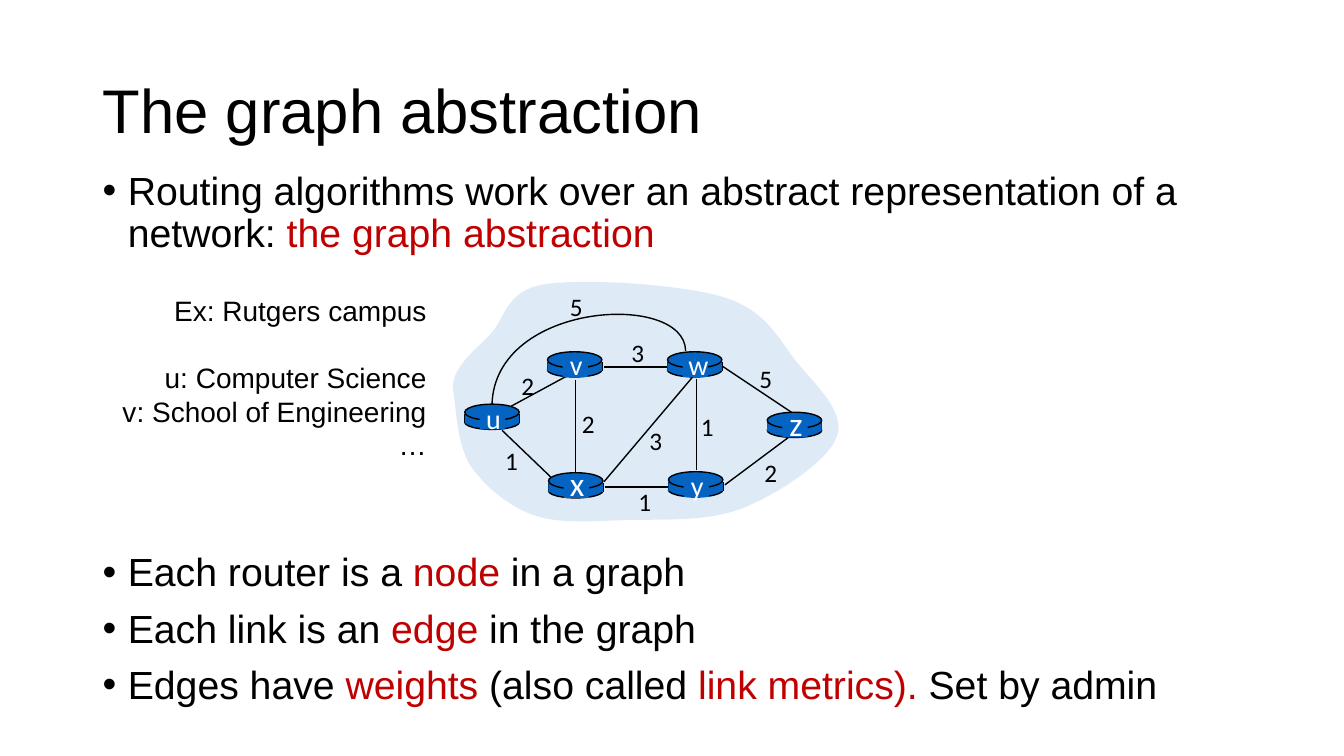
from dataclasses import dataclass

from lxml import etree
from pptx import Presentation
from pptx.dml.color import RGBColor
from pptx.enum.shapes import MSO_CONNECTOR, MSO_SHAPE
from pptx.enum.text import MSO_ANCHOR, PP_ALIGN
from pptx.oxml.ns import qn
from pptx.util import Inches, Pt

LEFT, CENTER, RIGHT = PP_ALIGN.LEFT, PP_ALIGN.CENTER, PP_ALIGN.RIGHT
TOP, MIDDLE = MSO_ANCHOR.TOP, MSO_ANCHOR.MIDDLE
OVAL, RECTANGLE = MSO_SHAPE.OVAL, MSO_SHAPE.RECTANGLE
STRAIGHT = MSO_CONNECTOR.STRAIGHT


@dataclass(frozen=True)
class Theme:
    ink: RGBColor = RGBColor.from_string("000000")
    accent: RGBColor = RGBColor.from_string("C00000")
    white: RGBColor = RGBColor.from_string("FFFFFF")
    cloud: RGBColor = RGBColor.from_string("DEEBF7")
    router: RGBColor = RGBColor.from_string("0563C1")
    sans: str = "Arial"
    label_font: str = "Calibri"
    title: int = 44
    body: int = 28
    note: int = 20
    weight: int = 18
    line: int = 1


theme = Theme()
deck = Presentation()
deck.slide_width, deck.slide_height = Inches(13.33), Inches(7.5)
page = deck.slides.add_slide(deck.slide_layouts[6])


def add_text(paragraphs, left, top, width, height, size, font=theme.sans, color=theme.ink,
             align=LEFT, anchor=TOP, wrap=True, spacing=1.0, gaps=(), bullet=False):
    """Each paragraph is a list of plain and accented spans, in turn."""
    box = page.shapes.add_textbox(Inches(left), Inches(top), Inches(width), Inches(height))
    frame = box.text_frame
    frame.word_wrap = wrap
    frame.vertical_anchor = anchor
    for index, spans in enumerate(paragraphs):
        para = frame.paragraphs[0] if index == 0 else frame.add_paragraph()
        if bullet:
            properties = para._p.get_or_add_pPr()
            properties.set("marL", str(Inches(0.25)))
            properties.set("indent", str(Inches(-0.25)))
            etree.SubElement(properties, qn("a:buFont")).set("typeface", theme.sans)
            etree.SubElement(properties, qn("a:buChar")).set("char", "•")
        para.alignment = align
        para.line_spacing = spacing
        if index in gaps:
            para.space_before = Pt(gaps[index])
        for number, words in enumerate(spans):
            span = para.add_run()
            span.text = words
            span.font.name = font
            span.font.size = Pt(size)
            span.font.color.rgb = theme.accent if number % 2 else color


def add_curve(start, points, closed=False):
    """Draw cubic curves: every three points are two controls and an end."""
    builder = page.shapes.build_freeform(*(Inches(value) for value in start))
    builder.add_line_segments([(Inches(x), Inches(y)) for x, y in points], close=closed)
    curve = builder.convert_to_shape()
    curve.shadow.inherit = False
    segments = list(curve._element.iter(qn("a:lnTo")))
    for index in range(0, len(points), 3):
        bezier = etree.Element(qn("a:cubicBezTo"))
        segments[index].addprevious(bezier)
        for segment in segments[index:index + 3]:
            bezier.append(segment[0])
            segment.getparent().remove(segment)
    return curve


# Title and bullets, with room for the graph after the first bullet
add_text([["The graph abstraction"]], 0.92, 0.4, 11.5, 1.45, theme.title,
         anchor=MIDDLE, spacing=0.9)
add_text([["Routing algorithms work over an abstract representation of a network: ",
           "the graph abstraction"],
          ["Each router is a ", "node", " in a graph"],
          ["Each link is an ", "edge", " in the graph"],
          ["Edges have ", "weights ", "(also called ", "link metrics). ", "Set by admin"]],
         0.92, 1.65, 12.04, 5.85, theme.body, spacing=0.9,
         gaps={1: 212, 2: 10, 3: 10}, bullet=True)

# Network cloud
cloud = add_curve((4.49, 3.84), [
    (4.5, 3.63), (4.71, 3.48), (4.87, 3.31),
    (5.02, 3.14), (5.02, 2.88), (5.41, 2.82),
    (5.79, 2.76), (6.76, 2.82), (7.18, 2.95),
    (7.6, 3.08), (7.72, 3.36), (7.9, 3.59),
    (8.09, 3.82), (8.39, 4.09), (8.3, 4.33),
    (8.22, 4.57), (7.72, 4.9), (7.37, 5.04),
    (7.02, 5.18), (6.56, 5.15), (6.21, 5.16),
    (5.87, 5.17), (5.55, 5.2), (5.29, 5.11),
    (5.04, 5.02), (4.8, 4.82), (4.66, 4.61),
    (4.53, 4.4), (4.52, 4), (4.49, 3.84),
], closed=True)
cloud.fill.solid()
cloud.fill.fore_color.rgb = theme.cloud
cloud.line.fill.background()

# Curved link from w to u
arc = add_curve((6.8, 3.48), [(6.79, 2.89), (4.91, 2.99), (4.88, 4.01)])
arc.fill.background()
arc.line.color.rgb = theme.ink
arc.line.width = Pt(theme.line)

# Routers: name, left, top, top of the letter box, letter size
routers = [
    ("u", 4.61, 4.01, 3.93, 20),
    ("x", 5.44, 4.69, 4.54, 24),
    ("v", 5.43, 3.49, 3.4, 20),
    ("w", 6.62, 3.49, 3.4, 20),
    ("y", 6.63, 4.68, 4.6, 20),
    ("z", 7.61, 4.09, 3.95, 24),
]

# Straight links: start, end, weight, place of the weight
links = [
    ((5.07, 4.03), (5.66, 3.71), "2", (5.07, 3.62)),
    ((5.71, 3.77), (5.71, 4.7), "2", (5.67, 4)),
    ((4.98, 4.27), (5.46, 4.73), "1", (4.91, 4.37)),
    ((5.99, 4.78), (6.87, 3.74), "3", (6.34, 4.17)),
    ((6, 4.83), (6.64, 4.83), "1", (6.23, 4.78)),
    ((6.91, 3.76), (6.91, 4.66), "1", (6.85, 4.03)),
    ((7.19, 4.81), (7.82, 4.34), "2", (7.48, 4.49)),
    ((7.16, 3.63), (7.85, 4.09), "5", (7.43, 3.56)),
    ((5.99, 3.64), (6.63, 3.64), "3", (6.16, 3.3)),
]

# Router sides stand among the lines, under the router tops
sides = [((left + shift, top + 0.1), (left + shift, top + 0.19))
         for _, left, top, _, _ in routers for shift in (0, 0.54)]
for start, end in [link[:2] for link in links] + sides:
    line = page.shapes.add_connector(STRAIGHT, *(Inches(value) for value in start + end))
    line.line.color.rgb = theme.ink
    line.line.width = Pt(theme.line)
    etree.SubElement(line._element.spPr, qn("a:effectLst"))

# Router parts: preset, offset, size, outlined
parts = [
    (OVAL, 0, 0.11, 0.54, 0.14, True),
    (RECTANGLE, 0, 0.1, 0.54, 0.09, False),
    (OVAL, 0, 0, 0.54, 0.16, True),
    (RECTANGLE, 0.15, 0.02, 0.25, 0.23, False),
]
for name, left, top, letter_top, letter_size in routers:
    for preset, across, down, width, height, outlined in parts:
        part = page.shapes.add_shape(preset, Inches(left + across), Inches(top + down),
                                     Inches(width), Inches(height))
        part.shadow.inherit = False
        part.fill.solid()
        part.fill.fore_color.rgb = theme.router
        if outlined:
            part.line.color.rgb = theme.ink
            part.line.width = Pt(theme.line)
        else:
            part.line.fill.background()
    add_text([[name]], left + 0.11, letter_top, 0.35, 0.44, letter_size,
             font=theme.label_font, color=theme.white, align=CENTER, wrap=False)

# Link weights
weights = [link[2:] for link in links] + [("5", (5.55, 2.84))]
for weight, place in weights:
    add_text([[weight]], *place, 0.33, 0.4, theme.weight,
             font=theme.label_font, align=CENTER, wrap=False)

# Campus example
add_text([["Ex: Rutgers campus"], ["u: Computer Science"], ["v: School of Engineering"], ["…"]],
         1.04, 2.86, 3.29, 1.78, theme.note, align=RIGHT, gaps={1: 24})

deck.save("out.pptx")
